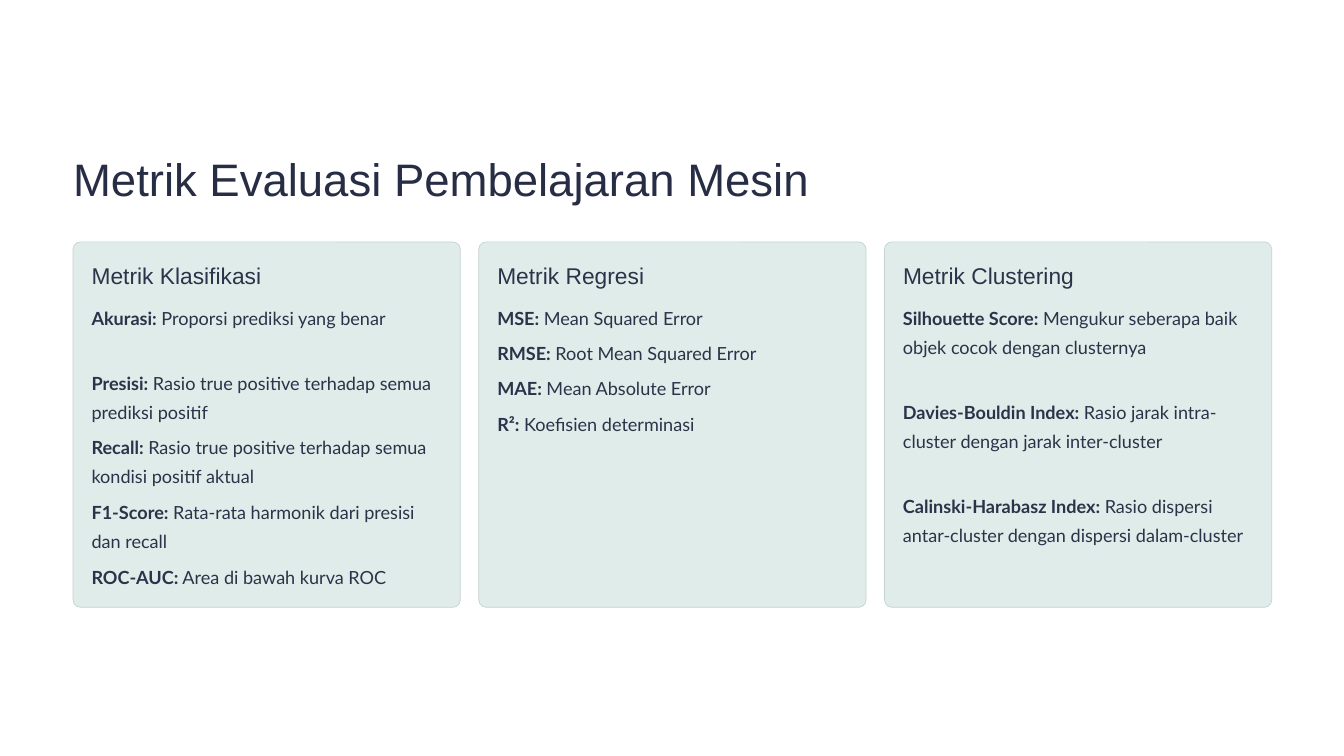
from dataclasses import dataclass

import pptx
import pptx.dml.color
import pptx.enum.shapes
import pptx.slide
import pptx.util

Inches = pptx.util.Inches
Pt = pptx.util.Pt

INK = "2C3249"
LEFT, TOP, WIDTH, HEIGHT = 0.87, 2.88, 4.61, 4.35
PITCH = 4.83
PAD = 0.22
LINE, GAP = 0.35, 0.07


@dataclass
class Metric:
    name: str
    note: str
    lines: int = 1


@dataclass
class Card:
    title: str
    items: list[Metric]


CARDS = [
    Card("Metrik Klasifikasi", [
        Metric("Akurasi:", "Proporsi prediksi yang benar", 2),
        Metric("Presisi:", "Rasio true positive terhadap semua prediksi positif", 2),
        Metric("Recall:", "Rasio true positive terhadap semua kondisi positif aktual", 2),
        Metric("F1-Score:", "Rata-rata harmonik dari presisi dan recall", 2),
        Metric("ROC-AUC:", "Area di bawah kurva ROC"),
    ]),
    Card("Metrik Regresi", [
        Metric("MSE:", "Mean Squared Error"),
        Metric("RMSE:", "Root Mean Squared Error"),
        Metric("MAE:", "Mean Absolute Error"),
        Metric("R²:", "Koefisien determinasi"),
    ]),
    Card("Metrik Clustering", [
        Metric("Silhouette Score:", "Mengukur seberapa baik objek cocok dengan clusternya", 3),
        Metric("Davies-Bouldin Index:", "Rasio jarak intra-cluster dengan jarak inter-cluster", 3),
        Metric("Calinski-Harabasz Index:", "Rasio dispersi antar-cluster dengan dispersi dalam-cluster", 3),
    ]),
]


def color(code: str) -> pptx.dml.color.RGBColor:
    return pptx.dml.color.RGBColor.from_string(code)


def write(slide: pptx.slide.Slide, text: str, *, x: float, y: float, w: float, h: float,
          size: float, lead: float, font: str = "Arial", ink: str = INK,
          bold: str = "") -> None:
    frame = slide.shapes.add_textbox(Inches(x), Inches(y), Inches(w), Inches(h)).text_frame
    frame.margin_left = frame.margin_right = frame.margin_top = frame.margin_bottom = 0
    frame.word_wrap = True
    para = frame.paragraphs[0]
    para.line_spacing = Pt(lead)
    for part, heavy in ((bold, True), (text, False)):
        if part:
            run = para.add_run()
            run.text = part
            run.font.name = font
            run.font.size = Pt(size)
            run.font.bold = heavy
            run.font.color.rgb = color(ink)


def draw_card(slide: pptx.slide.Slide, card: Card, x: float) -> None:
    panel = slide.shapes.add_shape(pptx.enum.shapes.MSO_SHAPE.ROUNDED_RECTANGLE,
                                   Inches(x), Inches(TOP), Inches(WIDTH), Inches(HEIGHT))
    panel.adjustments[0] = 0.02
    panel.shadow.inherit = False
    panel.fill.solid()
    panel.fill.fore_color.rgb = color("DFECE9")
    panel.line.color.rgb = color("C5D2CF")
    panel.line.width = Pt(0.6)
    x += PAD
    write(slide, card.title, x=x, y=3.11, w=2.71, h=0.34, size=19.5, lead=24)
    y = 3.57
    for item in card.items:
        high = item.lines * LINE
        write(slide, " " + item.note, bold=item.name, x=x, y=y, w=4.16, h=high,
              size=15.5, lead=25, font="Lato")
        y += high + GAP


def main() -> None:
    deck = pptx.Presentation()
    deck.slide_width, deck.slide_height = Inches(16), Inches(9)
    slide = deck.slides.add_slide(deck.slide_layouts[6])
    slide.background.fill.solid()
    slide.background.fill.fore_color.rgb = color("FFFFFF")
    write(slide, "Metrik Evaluasi Pembelajaran Mesin", x=LEFT, y=1.77, w=9.2, h=0.68,
          size=39, lead=48.5, ink="272D45")
    for index, card in enumerate(CARDS):
        draw_card(slide, card, LEFT + index * PITCH)
    deck.save("out.pptx")


if __name__ == "__main__":
    main()
